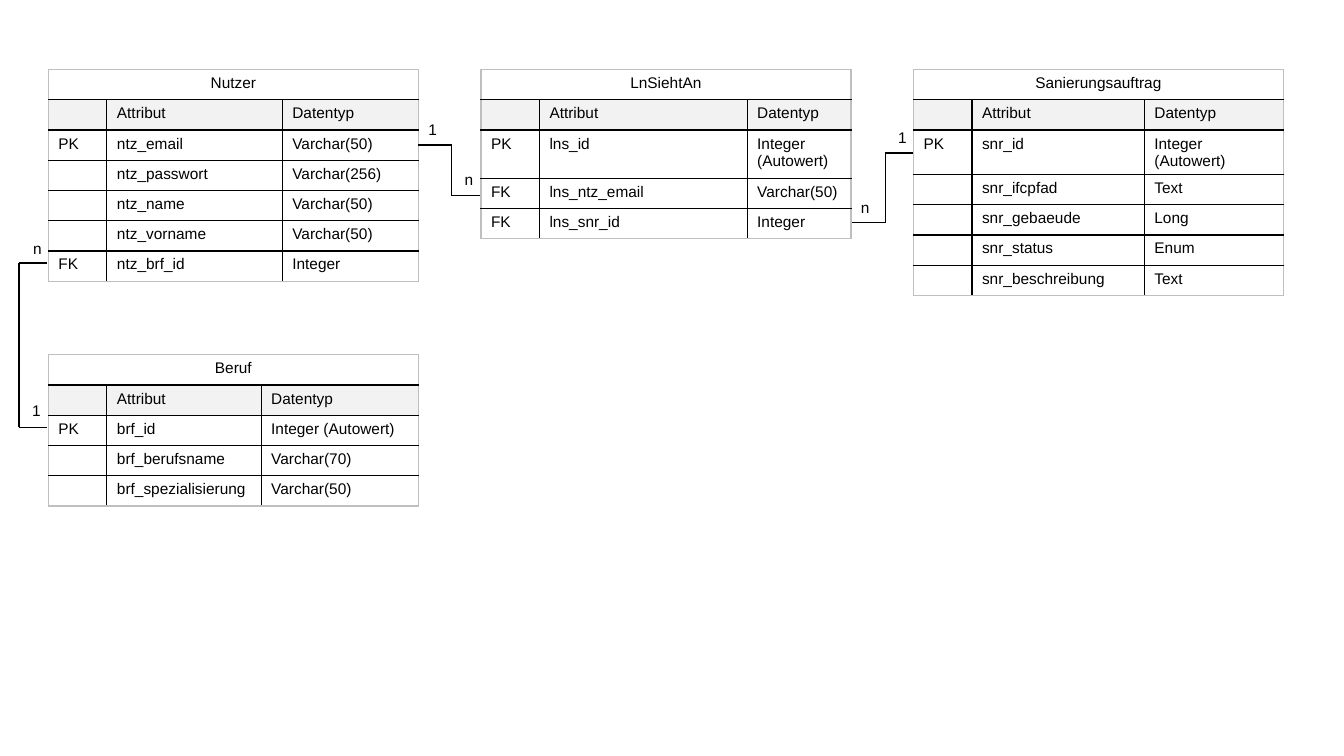
from itertools import pairwise

from lxml import etree
from pptx import Presentation
from pptx import util as u
from pptx.dml.color import RGBColor
from pptx.enum import shapes, text
from pptx.oxml.ns import qn

COLORS = {"ink": "000000", "frame": "BFBFBF", "header": "F2F2F2", "paper": "FFFFFF"}
FONT, SIZE = "Arial", 11
ROW, TALL_ROW = 0.3, 0.44
HEADER = ("", "Attribut", "Datentyp")

# Each entity: position, column widths, heights of unusual rows, attributes
ENTITIES = [
    {"name": "Nutzer", "at": (0.48, 0.69), "widths": (0.58, 1.74, 1.35), "heights": {},
     "attributes": [
         ("PK", "ntz_email", "Varchar(50)"),
         ("", "ntz_passwort", "Varchar(256)"),
         ("", "ntz_name", "Varchar(50)"),
         ("", "ntz_vorname", "Varchar(50)"),
         ("FK", "ntz_brf_id", "Integer")]},
    {"name": "LnSiehtAn", "at": (4.77, 0.69), "widths": (0.58, 2.06, 1.03), "heights": {2: 0.48},
     "attributes": [
         ("PK", "lns_id", "Integer (Autowert)"),
         ("FK", "lns_ntz_email", "Varchar(50)"),
         ("FK", "lns_snr_id", "Integer")]},
    {"name": "Sanierungsauftrag", "at": (9.06, 0.69), "widths": (0.58, 1.71, 1.38),
     "heights": {2: TALL_ROW},
     "attributes": [
         ("PK", "snr_id", "Integer (Autowert)"),
         ("", "snr_ifcpfad", "Text"),
         ("", "snr_gebaeude", "Long"),
         ("", "snr_status", "Enum"),
         ("", "snr_beschreibung", "Text")]},
    {"name": "Beruf", "at": (0.48, 3.52), "widths": (0.58, 1.53, 1.56), "heights": {},
     "attributes": [
         ("PK", "brf_id", "Integer (Autowert)"),
         ("", "brf_berufsname", "Varchar(70)"),
         ("", "brf_spezialisierung", "Varchar(50)")]},
]

# Each relation: corner points of its route, then its cardinalities with their places
RELATIONS = [
    ([(4.15, 1.44), (4.48, 1.44), (4.48, 1.94), (4.76, 1.94)],
     [("1", 4.15, 1.14), ("n", 4.51, 1.64)]),
    ([(0.47, 2.61), (0.19, 2.61), (0.19, 4.24), (0.47, 4.24)],
     [("n", 0.23, 2.32), ("1", 0.22, 3.93)]),
    ([(8.45, 2.21), (8.78, 2.21), (8.78, 1.52), (9.06, 1.52)],
     [("n", 8.44, 1.92), ("1", 8.81, 1.22)]),
]


def rgb(key):
    """Return a palette colour."""
    return RGBColor.from_string(COLORS[key])


def write(frame, words, size=SIZE, color="ink", align=text.PP_ALIGN.LEFT):
    """Write one formatted line; an empty one still gets the text size."""
    paragraph = frame.paragraphs[0]
    paragraph.alignment = align
    if not words:
        etree.SubElement(paragraph._p, qn("a:endParaRPr"), sz=str(size * 100))
        return
    run = paragraph.add_run()
    run.text = words
    run.font.name, run.font.size = FONT, u.Pt(size)
    run.font.color.rgb = rgb(color)


def set_borders(cell, edges):
    """Draw 1 pt borders from a dict of side to palette key."""
    properties = cell._tc.get_or_add_tcPr()
    for side, color in edges.items():
        line = etree.SubElement(properties, qn(f"a:ln{side}"), w=str(u.Pt(1)))
        fill = etree.SubElement(line, qn("a:solidFill"))
        etree.SubElement(fill, qn("a:srgbClr"), val=COLORS[color])


def add_entity(slide, entity):
    """Add an entity table: title row, header row, attribute rows."""
    rows = [(entity["name"], "", ""), HEADER, *entity["attributes"]]
    heights = [entity["heights"].get(r, ROW) for r in range(len(rows))]
    widths = entity["widths"]
    left, top = entity["at"]
    table = slide.shapes.add_table(
        len(rows), len(widths), u.Inches(left), u.Inches(top),
        u.Inches(sum(widths)), u.Inches(sum(heights))).table
    table.first_row = table.horz_banding = False
    for column, width in zip(table.columns, widths):
        column.width = u.Inches(width)
    table.cell(0, 0).merge(table.cell(0, len(widths) - 1))
    for r, values in enumerate(rows):
        table.rows[r].height = u.Inches(heights[r])
        title = r == 0
        for c, value in enumerate(values):
            cell = table.cell(r, c)
            outer = {"L": title or c == 0, "R": title or c == len(widths) - 1,
                     "T": title, "B": r == len(rows) - 1}
            set_borders(cell, {side: "frame" if out else "ink" for side, out in outer.items()})
            cell.fill.solid()
            cell.fill.fore_color.rgb = rgb("header" if r == 1 else "paper")
            write(cell.text_frame, value,
                  align=text.PP_ALIGN.CENTER if title else text.PP_ALIGN.LEFT)


def add_relation(slide, route, cardinalities):
    """Add the line segments of a relation and its cardinalities."""
    for start, end in pairwise(route):
        segment = slide.shapes.add_connector(
            shapes.MSO_CONNECTOR.STRAIGHT, *(u.Inches(v) for v in (*start, *end)))
        segment.line.color.rgb = rgb("ink")
        segment.line.width = u.Pt(1)
        etree.SubElement(segment._element.spPr, qn("a:effectLst"))
    for cardinality, left, top in cardinalities:
        box = slide.shapes.add_textbox(
            u.Inches(left), u.Inches(top), u.Inches(0.24), u.Inches(0.29))
        box.text_frame.word_wrap = True
        write(box.text_frame, cardinality)


deck = Presentation()
deck.slide_width, deck.slide_height = u.Inches(13.33), u.Inches(7.5)
model = deck.slides.add_slide(deck.slide_layouts[6])
for entity in ENTITIES:
    add_entity(model, entity)
for route, cardinalities in RELATIONS:
    add_relation(model, route, cardinalities)
deck.save("out.pptx")
